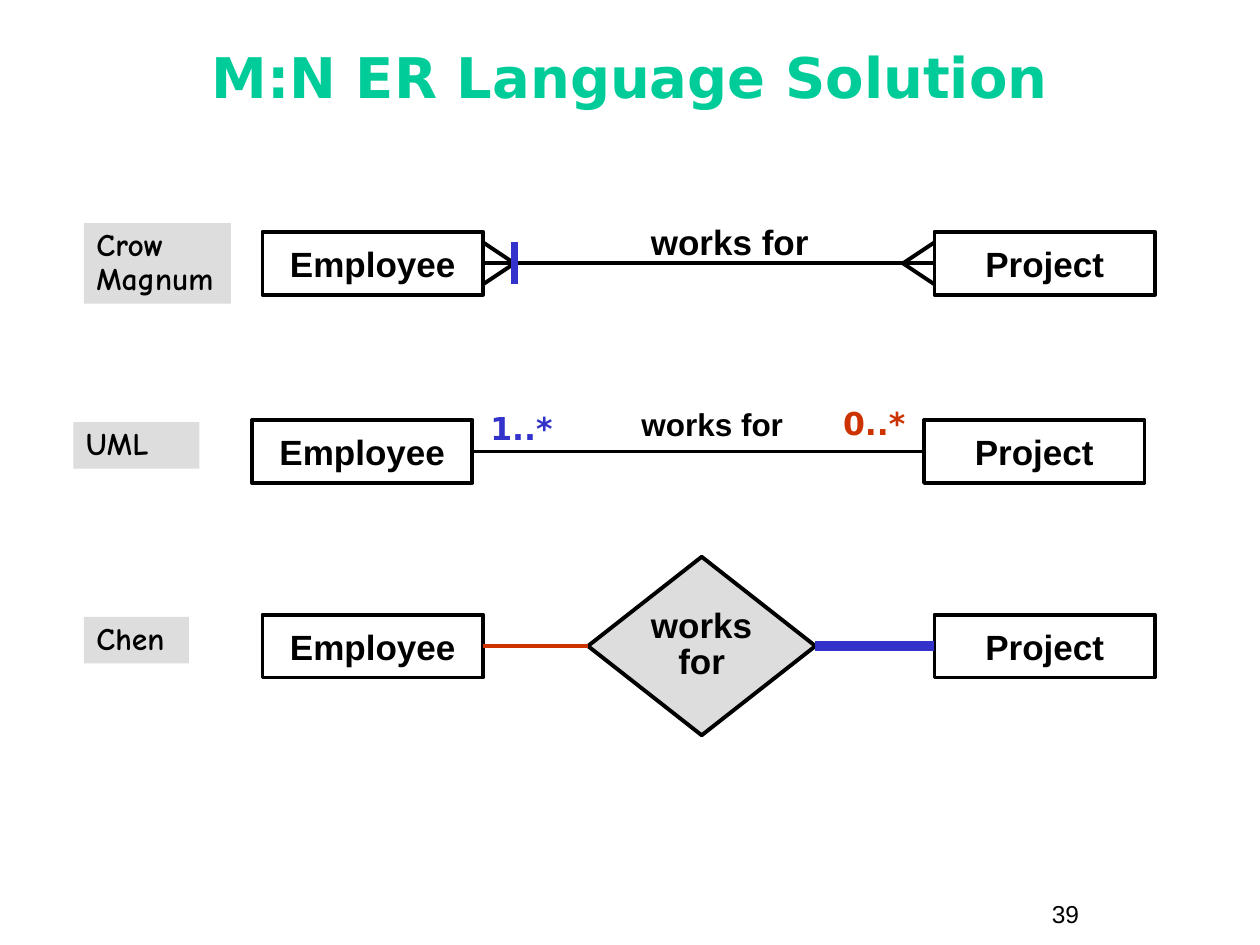
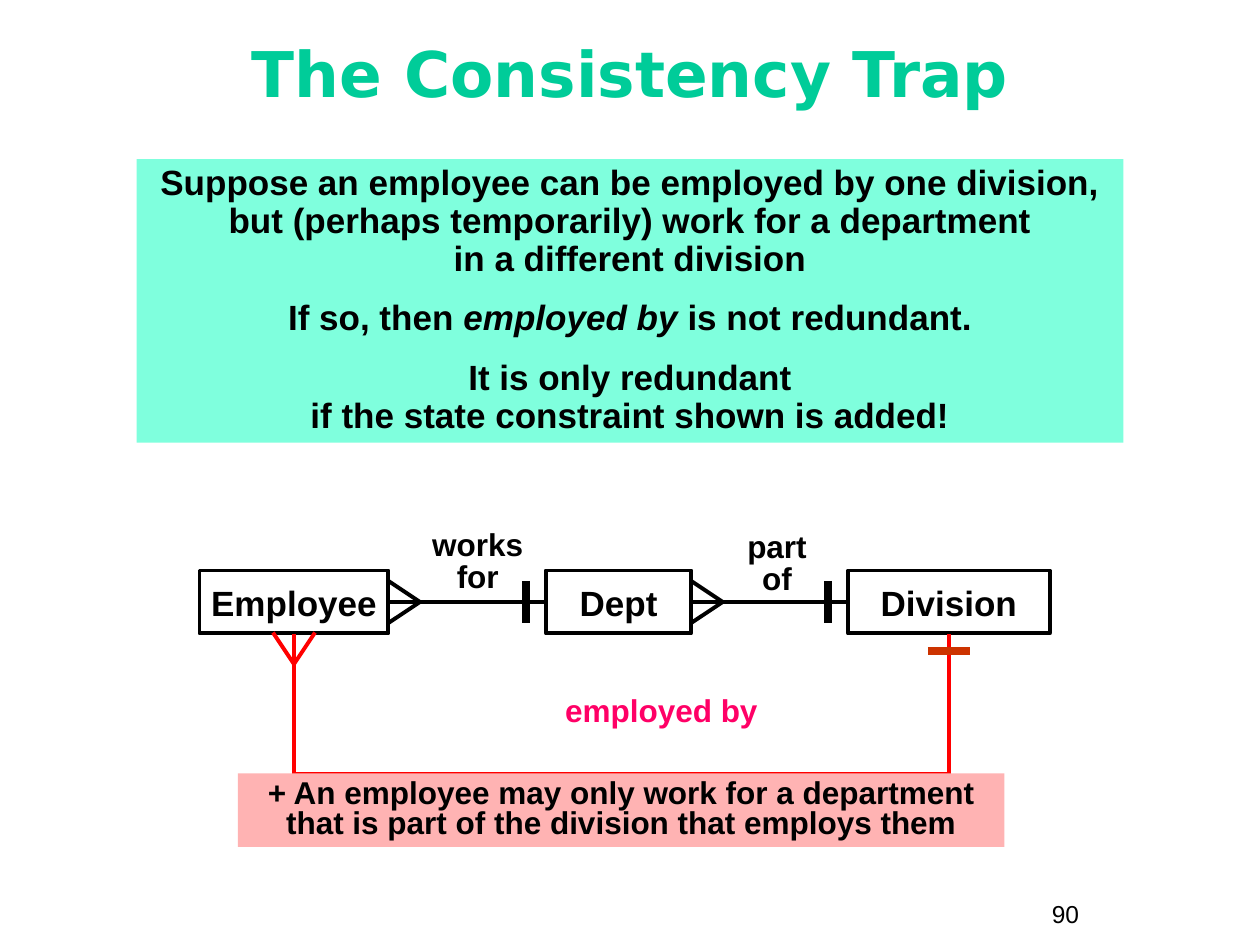
from lxml.etree import SubElement
from pptx import Presentation
from pptx.dml.color import RGBColor
from pptx.enum.shapes import MSO_CONNECTOR, MSO_SHAPE
from pptx.enum.text import MSO_ANCHOR, PP_ALIGN
from pptx.oxml.ns import qn
from pptx.util import Pt

BLACK, GREEN, GREY = "000000", "00CC99", "DDDDDD"
BLUE, RUST, RED, PINK = "3333CC", "CC3300", "FF0000", "FF0066"
MINT, ROSE = "7FFFDD", "FFB3B3"
SANS, WIDE, HAND = "Arial", "DejaVu Sans", "Comic Neue"
THIN, BAR, THICK = 2.25, 4.5, 6
TALL, REACH, SPREAD = 36, 18, 12  # entity height, crow's foot length and half width


def paint(target, color):
    target.rgb = RGBColor.from_string(color)


def write(shape, paras, size, color=BLACK, font=SANS, bold=True, align=PP_ALIGN.CENTER,
          anchor=MSO_ANCHOR.TOP, space=1.0, gap=0, wrap=True):
    """Fill a shape with paragraphs; a paragraph given as a list has (text, italic) runs."""
    frame = shape.text_frame
    frame.word_wrap = wrap
    frame.vertical_anchor = anchor
    for i, item in enumerate(paras):
        para = frame.add_paragraph() if i else frame.paragraphs[0]
        if isinstance(item, str):
            para.text = item
        else:
            for text, slant in item:
                run = para.add_run()
                run.text = text
                run.font.italic = slant
        para.alignment = align
        para.line_spacing = space
        if i:
            para.space_before = Pt(gap)
        para.font.name = font
        para.font.size = Pt(size)
        para.font.bold = bold
        paint(para.font.color, color)


def label(slide, x, y, w, h, text, size=18, **look):
    area = slide.shapes.add_textbox(Pt(x), Pt(y), Pt(w), Pt(h))
    write(area, [text], size, **look)


def block(slide, x, y, w, h, fill=None, edge=False, kind=MSO_SHAPE.RECTANGLE):
    shape = slide.shapes.add_shape(kind, Pt(x), Pt(y), Pt(w), Pt(h))
    shape.shadow.inherit = False
    if fill:
        shape.fill.solid()
        paint(shape.fill.fore_color, fill)
    else:
        shape.fill.background()
    if edge:
        shape.line.width = Pt(THIN)
        paint(shape.line.color, BLACK)
    else:
        shape.line.fill.background()
    return shape


def entity(slide, x, y, w, name):
    shape = block(slide, x, y, w, TALL, edge=True)
    write(shape, [name], 20, anchor=MSO_ANCHOR.MIDDLE, wrap=False)
    return shape


def line(slide, x1, y1, x2, y2, color=BLACK, width=THIN):
    wire = slide.shapes.add_connector(MSO_CONNECTOR.STRAIGHT, Pt(x1), Pt(y1), Pt(x2), Pt(y2))
    wire.line.width = Pt(width)
    paint(wire.line.color, color)
    SubElement(wire._element.spPr, qn("a:effectLst"))
    return wire


def join(slide, left, right, color=BLACK, width=THIN):
    """Connect the right side of one shape to the left side of another."""
    wire = line(slide, 0, 0, 0, 0, color, width)
    wire.begin_connect(left, 3)
    wire.end_connect(right, 1)


def foot(slide, x, y, dx, dy, color=BLACK):
    """Crow's foot whose toes rest at (x, y) and whose tip points along (dx, dy)."""
    for side in (-SPREAD, SPREAD):
        line(slide, x + dx * REACH, y + dy * REACH, x + dy * side, y + dx * side, color)


def tick(slide, x, y, color, flat=False):
    dx, dy = (SPREAD, 0) if flat else (0, SPREAD)
    line(slide, x - dx, y - dy, x + dx, y + dy, color, BAR)


def start(deck, title, size, top, page):
    slide = deck.slides.add_slide(deck.slide_layouts[6])
    label(slide, 24, top, 672, 66, title, size, color=GREEN, font=WIDE,
          anchor=MSO_ANCHOR.MIDDLE, space=0.85)
    label(slide, 594, 510, 66, 24.5, page, 14, bold=False, align=PP_ALIGN.LEFT)
    return slide


def pair(slide, x, y, tag, wide, high, drop):
    """A notation's tag and its two entities, in a row whose entities start at y."""
    shape = block(slide, x, y + drop, wide, high, GREY)
    write(shape, [tag], 18, font=HAND, align=PP_ALIGN.LEFT, space=0.9)
    return (entity(slide, x + 102, y, 126, "Employee"),
            entity(slide, x + 486, y, 126, "Project"))


def crow_row(slide, x, y):
    left, right = pair(slide, x, y, "Crow\nMagnum", 84, 46, -5)
    join(slide, left, right)
    mid = y + TALL / 2
    foot(slide, x + 228, mid, 1, 0)
    foot(slide, x + 486, mid, -1, 0)
    label(slide, x + 309, y - 6.5, 120, 28, "works for", 20, space=0.85)
    tick(slide, x + 246, mid, BLUE)


def uml_row(slide, x, y):
    left, right = pair(slide, x, y, "UML", 72, 26.6, 1.3)
    join(slide, left, right)
    label(slide, x + 305, y - 9, 120, 26, "works for", space=0.85)
    label(slide, x + 226, y - 7.4, 60, 26.6, "1..*", color=BLUE, font=WIDE, space=0.9)
    label(slide, x + 427.5, y - 10, 60, 26.6, "0..*", color=RUST, font=WIDE, space=0.9)


def chen_row(slide, x, y):
    left, right = pair(slide, x, y, "Chen", 60, 26.6, 1.3)
    high = 102
    gem = block(slide, x + 288, y + (TALL - high) / 2, 130, high, GREY, True,
                MSO_SHAPE.FLOWCHART_DECISION)
    write(gem, ["works\nfor"], 20, anchor=MSO_ANCHOR.MIDDLE, space=0.85, wrap=False)
    join(slide, left, gem, RUST)
    join(slide, gem, right, BLUE, THICK)


def claim(slide, x, y):
    shape = block(slide, x, y, 564, 162, MINT)
    write(shape, [
        "Suppose an employee can be employed by one division,\n"
        "but (perhaps temporarily) work for a department\nin a different division",
        [("If so, then ", False), ("employed by", True), (" is not redundant.", False)],
        "It is only redundant\nif the state constraint shown is added!",
    ], 20, space=0.9, gap=12.5)


def chain(slide, x, y):
    """Employee, Dept and Division in a row, linked many to one."""
    mid = y + TALL / 2
    last = None
    for name, at, wide in (("Employee", 0, 108), ("Dept", 198, 83), ("Division", 370.6, 115.2)):
        shape = entity(slide, x + at, y, wide, name)
        if last:
            join(slide, last, shape)
            foot(slide, x + edge, mid, 1, 0)
            tick(slide, x + at - 11.5, mid, BLACK)
        last, edge = shape, at + wide
    label(slide, x + 99, y - 26, 120, 44, "works\nfor", space=0.85)
    label(slide, x + 270, y - 25, 120, 44, "part\nof", space=0.85)


def loop(slide, x, y, wide, high):
    """The employed-by link that runs below the chain, from Division back to Employee."""
    outline = slide.shapes.build_freeform(Pt(x + wide), Pt(y))
    outline.add_line_segments([(Pt(x + wide), Pt(y + high)), (Pt(x), Pt(y + high)),
                               (Pt(x), Pt(y))], close=False)
    route = outline.convert_to_shape()
    route.shadow.inherit = False
    route.fill.background()
    route.line.width = Pt(THIN)
    paint(route.line.color, RED)
    foot(slide, x, y - 1, 0, 1, RED)
    tick(slide, x + wide, y + 9.5, RUST, flat=True)
    label(slide, x + 138, y + 32, 144, 26, "employed by", color=PINK, space=0.85)


def rule(slide, x, y):
    shape = block(slide, x, y, 438, 42, ROSE)
    write(shape, ["+ An employee may only work for a department "
                  "that is part of the division that employs them"],
          18, anchor=MSO_ANCHOR.MIDDLE, space=0.8)


def main():
    deck = Presentation()
    deck.slide_width, deck.slide_height = Pt(720), Pt(540)

    slide = start(deck, "M:N ER Language Solution", 32, 13.5, "39")
    crow_row(slide, 48, 132.5)
    uml_row(slide, 42, 240)
    chen_row(slide, 48, 351.2)

    slide = start(deck, "The Consistency Trap", 36, 12, "90")
    claim(slide, 78, 91)
    chain(slide, 114, 326)
    loop(slide, 168, 362.5, 374.2, 79.5)
    rule(slide, 136, 442)

    deck.save("out.pptx")


if __name__ == "__main__":
    main()
